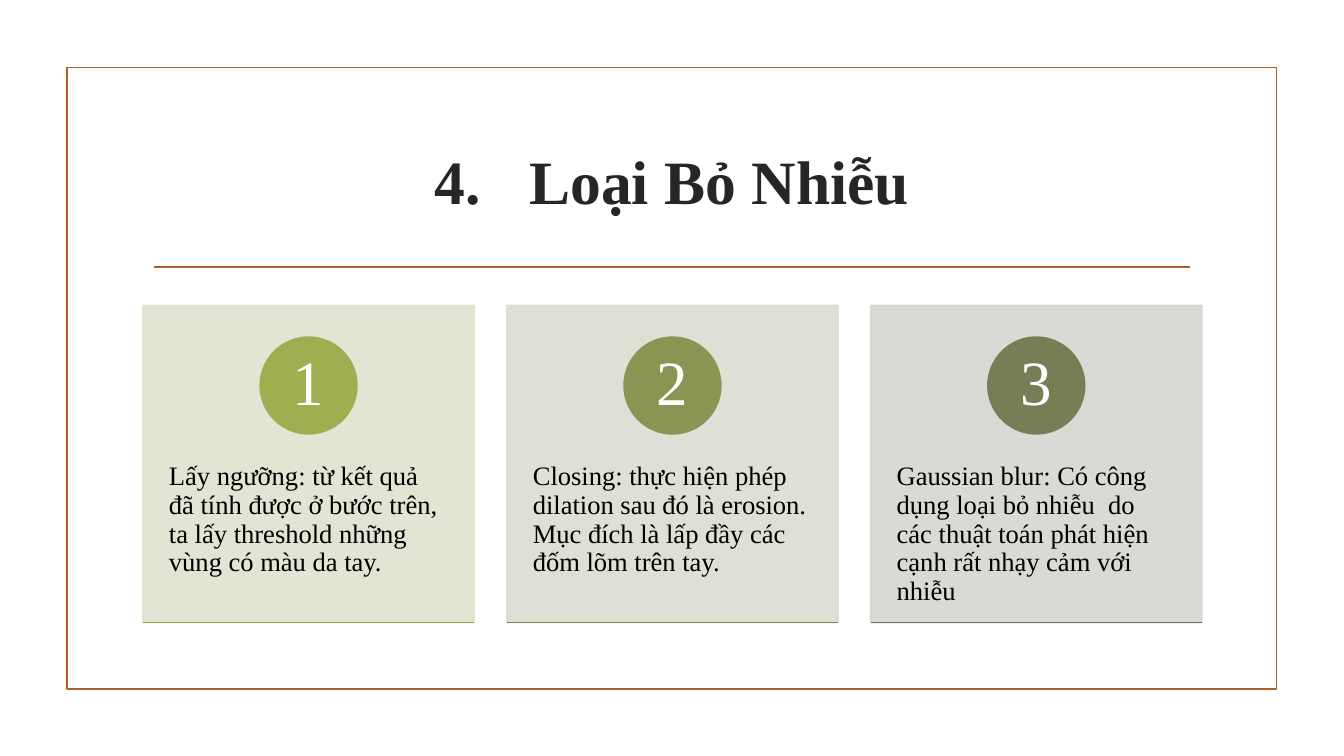
"""Build the slide on noise removal with three numbered cards."""
import lxml.etree
import pptx
import pptx.dml.color
import pptx.enum.shapes
import pptx.enum.text
import pptx.oxml.ns
import pptx.util

Pt = pptx.util.Pt
RGBColor = pptx.dml.color.RGBColor
MSO_SHAPE = pptx.enum.shapes.MSO_SHAPE
MSO_ANCHOR = pptx.enum.text.MSO_ANCHOR
PP_ALIGN = pptx.enum.text.PP_ALIGN
qn = pptx.oxml.ns.qn

FONT = "Times New Roman"
RUST = RGBColor(0xB1, 0x5E, 0x28)
CHARCOAL = RGBColor(0x26, 0x26, 0x26)
BLACK = RGBColor(0, 0, 0)
WHITE = RGBColor(0xFF, 0xFF, 0xFF)

CARD_LEFT, CARD_TOP = 102.2, 218.2
CARD_WIDTH, CARD_HEIGHT = 236.5, 226.4
CARD_STEP = 259.9
BADGE_SIZE, BADGE_TOP = 69, 240.9
BODY_TOP, BODY_HEIGHT = 304.6, 136
LINE_WIDTH = 1.25

CARDS = [
    ("Lấy ngưỡng: từ kết quả đã tính được ở bước trên, ta lấy threshold những vùng có màu da tay.",
     RGBColor(0xDF, 0xE3, 0xD0), RGBColor(0x9E, 0xAE, 0x51), RGBColor(0x94, 0xA1, 0x53)),
    ("Closing: thực hiện phép dilation sau đó là erosion. Mục đích là lấp đầy các đốm lõm trên tay.",
     RGBColor(0xDA, 0xDD, 0xD0), RGBColor(0x8A, 0x95, 0x54), RGBColor(0x80, 0x89, 0x55)),
    ("Gaussian blur: Có công dụng loại bỏ nhiễu  do các thuật toán phát hiện cạnh rất nhạy cảm với nhiễu",
     RGBColor(0xD5, 0xD5, 0xD1), RGBColor(0x77, 0x7E, 0x55), RGBColor(0x6E, 0x73, 0x55)),
]


def add_run(paragraph, text, size, color, bold=False):
    run = paragraph.add_run()
    run.text = text
    run.font.name = FONT
    run.font.size = Pt(size)
    run.font.bold = bold
    run.font.color.rgb = color


def set_margins(frame, horizontal, vertical):
    frame.margin_left = frame.margin_right = Pt(horizontal)
    frame.margin_top = frame.margin_bottom = Pt(vertical)
    frame.word_wrap = True


def add_block(slide, kind, left, top, width, height, line, fill=None):
    shape = slide.shapes.add_shape(kind, Pt(left), Pt(top), Pt(width), Pt(height))
    shape.shadow.inherit = False
    if fill is None:
        shape.fill.background()
    else:
        shape.fill.solid()
        shape.fill.fore_color.rgb = fill
    shape.line.color.rgb = line
    shape.line.width = Pt(LINE_WIDTH)
    return shape


def add_rule(slide, left, top, width, color, weight=LINE_WIDTH):
    rule = slide.shapes.add_connector(
        pptx.enum.shapes.MSO_CONNECTOR.STRAIGHT, Pt(left), Pt(top), Pt(left + width), Pt(top))
    rule.line.color.rgb = color
    rule.line.width = Pt(weight)
    lxml.etree.SubElement(rule.element.spPr, qn("a:effectLst"))


def set_opacity(shape, percent):
    for color in shape.element.spPr.iter(qn("a:srgbClr")):
        lxml.etree.SubElement(color, qn("a:alpha"), val=str(percent * 1000))


def fill_title(title, text, number):
    title.left, title.top, title.width, title.height = Pt(102.2), Pt(77), Pt(756), Pt(103)
    frame = title.text_frame
    frame.auto_size = pptx.enum.text.MSO_AUTO_SIZE.NONE
    frame.vertical_anchor = MSO_ANCHOR.MIDDLE
    paragraph = frame.paragraphs[0]
    paragraph.alignment = PP_ALIGN.CENTER
    add_run(paragraph, text, 44, CHARCOAL, bold=True)
    properties = paragraph._p.get_or_add_pPr()
    indent = Pt(67.5)
    properties.set("marL", str(indent))
    properties.set("indent", str(-indent))
    lxml.etree.SubElement(properties, qn("a:buFont"), typeface=FONT)
    lxml.etree.SubElement(properties, qn("a:buAutoNum"), type="arabicPeriod", startAt=str(number))


def add_badge(slide, left, number, color):
    badge = add_block(slide, MSO_SHAPE.OVAL, left, BADGE_TOP, BADGE_SIZE, BADGE_SIZE, color, color)
    frame = badge.text_frame
    set_margins(frame, 5, 1)
    frame.vertical_anchor = MSO_ANCHOR.MIDDLE
    paragraph = frame.paragraphs[0]
    paragraph.alignment = PP_ALIGN.CENTER
    paragraph.line_spacing = 0.9
    add_run(paragraph, str(number), 45, WHITE)


def add_body(slide, left, text):
    body = slide.shapes.add_textbox(Pt(left), Pt(BODY_TOP), Pt(CARD_WIDTH), Pt(BODY_HEIGHT))
    set_margins(body.text_frame, 18.5, 26)
    paragraph = body.text_frame.paragraphs[0]
    paragraph.line_spacing = 0.9
    add_run(paragraph, text, 19, BLACK)


def add_card(slide, number, text, panel_color, badge_color, rule_color):
    left = CARD_LEFT + (number - 1) * CARD_STEP
    panel = add_block(slide, MSO_SHAPE.RECTANGLE, left, CARD_TOP, CARD_WIDTH, CARD_HEIGHT,
                      panel_color, panel_color)
    set_opacity(panel, 90)
    add_body(slide, left, text)
    add_badge(slide, left + (CARD_WIDTH - BADGE_SIZE) / 2, number, badge_color)
    add_rule(slide, left, CARD_TOP + CARD_HEIGHT, CARD_WIDTH, rule_color, 0.75)


def main():
    presentation = pptx.Presentation()
    presentation.slide_width, presentation.slide_height = Pt(960), Pt(540)
    slide = presentation.slides.add_slide(presentation.slide_layouts[5])
    add_block(slide, MSO_SHAPE.RECTANGLE, 47.8, 48.2, 864, 444, RUST)
    add_rule(slide, 110.2, 190.8, 740, RUST)
    fill_title(slide.shapes.title, "Loại Bỏ Nhiễu", 4)
    for number, card in enumerate(CARDS, start=1):
        add_card(slide, number, *card)
    presentation.save("out.pptx")


if __name__ == "__main__":
    main()
